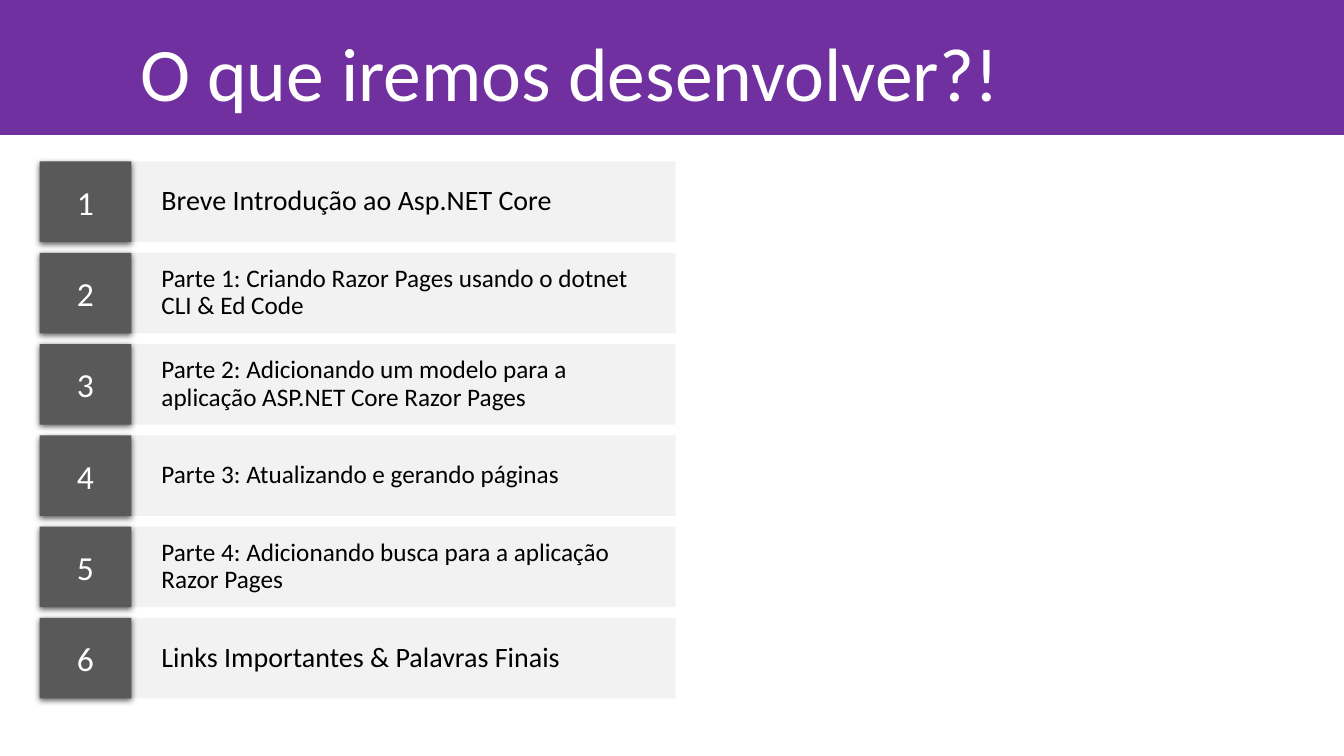
import lxml.etree
import pptx
import pptx.dml.color
import pptx.enum.shapes
import pptx.enum.text
import pptx.oxml.ns
import pptx.util

Cm = pptx.util.Cm
Pt = pptx.util.Pt
RGBColor = pptx.dml.color.RGBColor
ANCHOR = pptx.enum.text.MSO_ANCHOR
ALIGN = pptx.enum.text.PP_ALIGN
qn = pptx.oxml.ns.qn

PURPLE = RGBColor(0x70, 0x30, 0xA0)
DARK_GRAY = RGBColor(0x59, 0x59, 0x59)
LIGHT_GRAY = RGBColor(0xF2, 0xF2, 0xF2)
BLACK = RGBColor(0x00, 0x00, 0x00)
WHITE = RGBColor(0xFF, 0xFF, 0xFF)

SLIDE_WIDTH = Cm(33.87)
SLIDE_HEIGHT = Cm(19.05)

TOPICS = [
    ("Breve Introdução ao Asp.NET Core", 20),
    ("Parte 1: Criando Razor Pages usando o dotnet CLI & Ed Code", 18),
    ("Parte 2: Adicionando um modelo para a aplicação ASP.NET Core Razor Pages", 18),
    ("Parte 3: Atualizando e gerando páginas", 18),
    ("Parte 4: Adicionando busca para a aplicação Razor Pages", 18),
    ("Links Importantes & Palavras Finais", 20),
]


def write_text(holder, text, size, color, align):
    frame = holder.text_frame
    frame.text = text
    frame.word_wrap = True
    frame.vertical_anchor = ANCHOR.MIDDLE
    paragraph = frame.paragraphs[0]
    paragraph.alignment = align
    paragraph.font.name = "Calibri"
    paragraph.font.size = Pt(size)
    paragraph.font.color.rgb = color
    return frame


def add_block(slide, left, top, width, height, color):
    block = slide.shapes.add_shape(
        pptx.enum.shapes.MSO_SHAPE.RECTANGLE, left, top, width, height
    )
    block.fill.solid()
    block.fill.fore_color.rgb = color
    block.line.fill.background()
    block.shadow.inherit = False
    return block


def add_drop_shadow(block):
    effects = block.element.spPr.find(qn("a:effectLst"))
    shadow = lxml.etree.SubElement(
        effects, qn("a:outerShdw"), blurRad=str(Pt(4.5)), dist=str(Pt(1.5)),
        dir="5400000", algn="ctr", rotWithShape="0",
    )
    black = lxml.etree.SubElement(shadow, qn("a:srgbClr"), val=str(BLACK))
    lxml.etree.SubElement(black, qn("a:alpha"), val="63000")


def fill_header(slide, left, top, width, height):
    header = slide.shapes.title
    header.left, header.top, header.width, header.height = left, top, width, height
    header.fill.solid()
    header.fill.fore_color.rgb = PURPLE
    frame = write_text(header, "O que iremos desenvolver?!", 54, WHITE, ALIGN.LEFT)
    frame.auto_size = pptx.enum.text.MSO_AUTO_SIZE.NONE
    frame.margin_left = Cm(3.53)
    frame.margin_top = Cm(0.31)
    frame.margin_bottom = Cm(0.13)


def add_topic(slide, number, topic, size, left, top, width, height):
    number_width = Cm(2.31)
    bar = add_block(
        slide, left + number_width, top, width - number_width, height, LIGHT_GRAY
    )
    frame = write_text(bar, topic, size, BLACK, ALIGN.LEFT)
    frame.margin_left = frame.margin_right = Cm(0.76)
    frame.margin_top = frame.margin_bottom = Cm(0.25)
    frame.paragraphs[0].line_spacing = 0.9

    number_box = add_block(slide, left, top, number_width, height, DARK_GRAY)
    add_drop_shadow(number_box)
    write_text(number_box, str(number), 24, WHITE, ALIGN.CENTER)


def add_agenda(slide, left, top, width, height):
    row_height = Cm(2.03)
    pitch = (height - row_height) // (len(TOPICS) - 1)
    for index, (topic, size) in enumerate(TOPICS):
        add_topic(
            slide, index + 1, topic, size,
            left, top + index * pitch, width, row_height,
        )


def main():
    presentation = pptx.Presentation()
    presentation.slide_width = SLIDE_WIDTH
    presentation.slide_height = SLIDE_HEIGHT
    slide = presentation.slides.add_slide(presentation.slide_layouts[5])
    fill_header(slide, 0, 0, SLIDE_WIDTH, Cm(3.4))
    add_agenda(slide, Cm(1), Cm(4.07), Cm(16.03), Cm(13.53))
    presentation.save("out.pptx")


if __name__ == "__main__":
    main()
